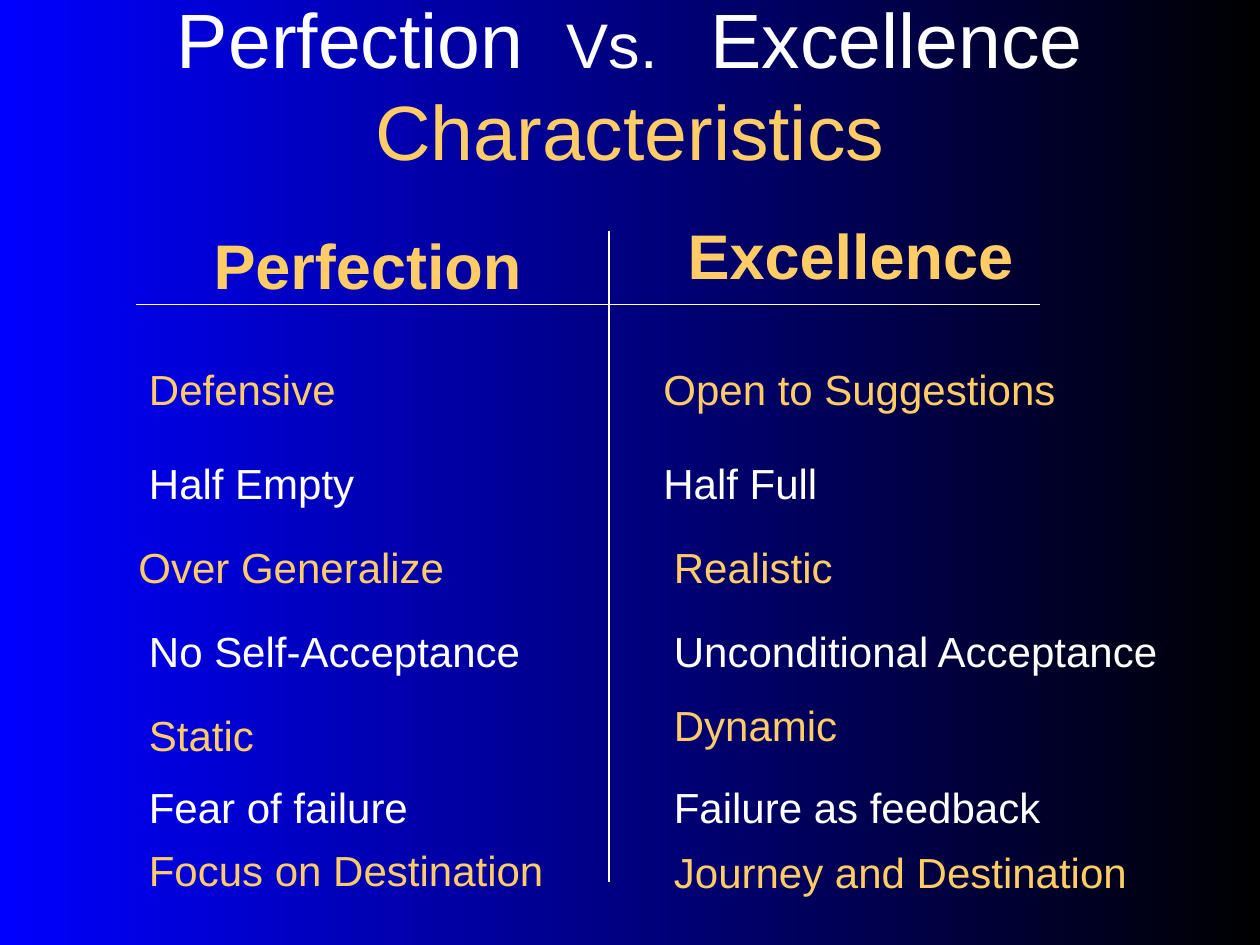
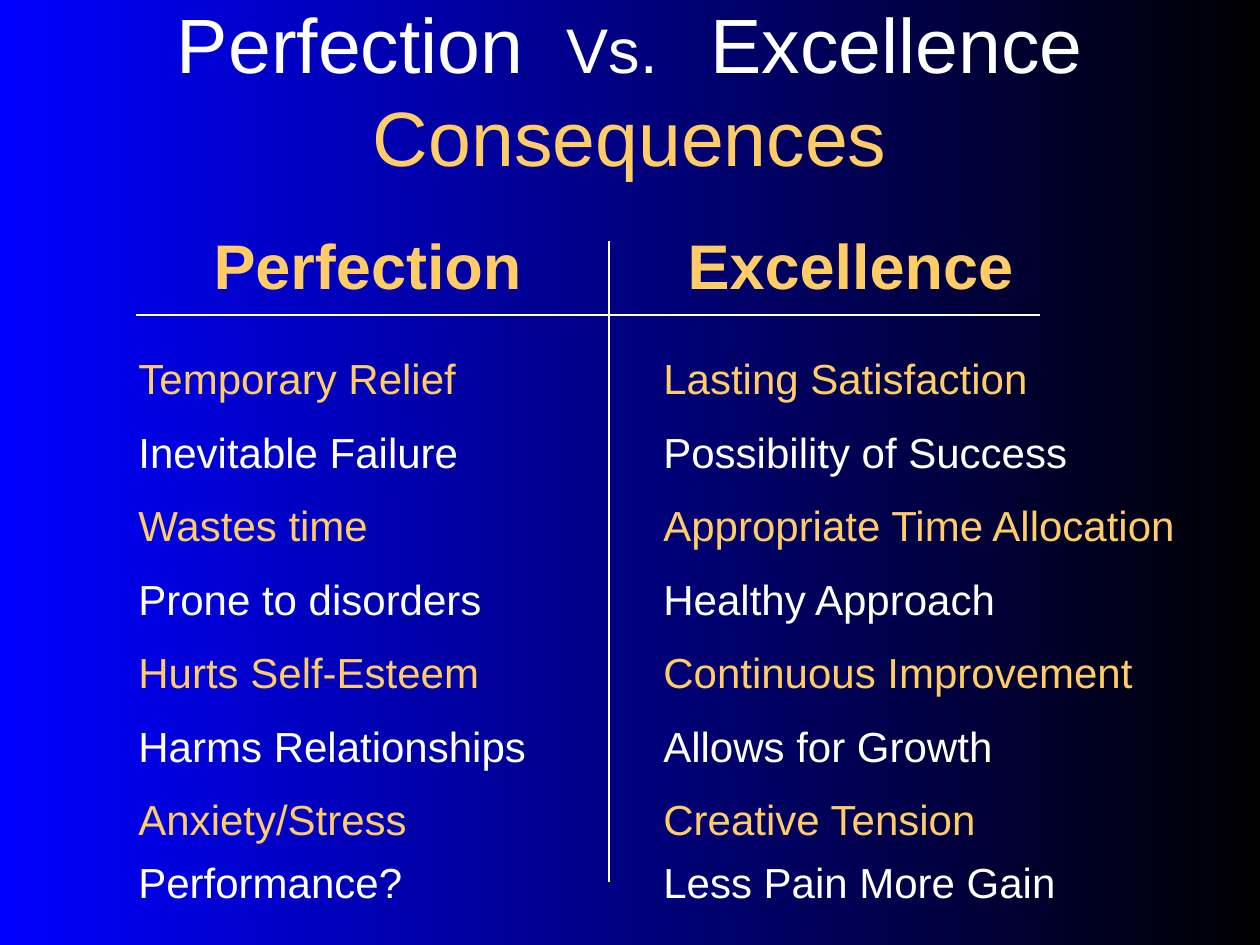
from lxml import etree
from pptx import Presentation
from pptx.dml.color import RGBColor
from pptx.enum.shapes import MSO_CONNECTOR
from pptx.enum.text import MSO_ANCHOR, MSO_AUTO_SIZE, PP_ALIGN
from pptx.oxml.ns import qn
from pptx.util import Emu, Pt

EMU_PER_PX = 7620  # 120 px to the inch
SLIDE_WIDTH, SLIDE_HEIGHT = 1200, 900
STRAIGHT = MSO_CONNECTOR.STRAIGHT
MIDDLE = MSO_ANCHOR.MIDDLE
NO_FIT, GROW = MSO_AUTO_SIZE.NONE, MSO_AUTO_SIZE.SHAPE_TO_FIT_TEXT
LEFT, CENTER = PP_ALIGN.LEFT, PP_ALIGN.CENTER
TITLE_ONLY = 5

COLORS = {"white": "FFFFFF", "gold": "FFCC66", "black": "000000", "blue": "0000FF"}
FONT = "Arial"
TITLE_SIZE, HEADING_SIZE, TRAIT_SIZE = 44, 36, 24
HEADING_HEIGHT, TRAIT_HEIGHT = 84, 60
DIVIDER_X, DIVIDER_BOTTOM = 580, 840
RULE_LEFT, RULE_RIGHT = 130, 990

# Text, size and extra letter spacing of each span, in points
TITLE_SPANS = [
    ("Perfection", 44, 0),
    (" ", 44, 12.2),
    ("Vs.", 36, 0),
    (" ", 36, 20),
    ("Excellence", 44, 0),
]

# Each trait: text, left, top, width
PERFECTION_TRAITS = [
    ("Defensive", 130, 340, 460),
    ("Half Empty", 130, 430, 460),
    ("Over Generalize", 120, 510, 460),
    ("No Self-Acceptance", 130, 590, 460),
    ("Static", 130, 670, 460),
    ("Fear of failure", 130, 738, 490),
    ("Focus on Destination", 130, 798, 490),
]
EXCELLENCE_TRAITS = [
    ("Open to Suggestions", 620, 340, 500),
    ("Half Full", 620, 430, 530),
    ("Realistic", 630, 510, 500),
    ("Unconditional Acceptance", 630, 590, 500),
    ("Dynamic", 630, 660, 540),
    ("Failure as feedback", 630, 738, 490),
    ("Journey and Destination", 630, 800, 460),
]
PERFECTION_RESULTS = [
    ("Temporary Relief", 460),
    ("Inevitable Failure", 460),
    ("Wastes time", 460),
    ("Prone to disorders", 460),
    ("Hurts Self-Esteem", 460),
    ("Harms Relationships", 460),
    ("Anxiety/Stress", 460),
    ("Performance?", 530),
]
EXCELLENCE_RESULTS = [
    ("Lasting Satisfaction", 500),
    ("Possibility of Success", 500),
    ("Appropriate Time Allocation", 540),
    ("Healthy Approach", 500),
    ("Continuous Improvement", 540),
    ("Allows for Growth", 530),
    ("Creative Tension", 540),
    ("Less Pain More Gain", 530),
]


def px(length):
    return Emu(length * EMU_PER_PX)


def rgb(color):
    return RGBColor.from_string(COLORS[color])


def evenly_spaced(results, left, first_top=330, step=70, last_top=810):
    """Place results at equal steps, with the last one pulled up a little."""
    return [
        (text, left, min(first_top + step * row, last_top), width)
        for row, (text, width) in enumerate(results)
    ]


class ComparisonDeck:
    def __init__(self):
        self.deck = Presentation()
        self.deck.slide_width = px(SLIDE_WIDTH)
        self.deck.slide_height = px(SLIDE_HEIGHT)
        self.page = None
        fill = self.deck.slide_master.background.fill
        fill.gradient()
        fill.gradient_angle = 180
        for stop, color in zip(fill.gradient_stops, ("black", "blue")):
            stop.color.rgb = rgb(color)

    def add_page(self):
        self.page = self.deck.slides.add_slide(self.deck.slide_layouts[TITLE_ONLY])

    def style(self, para, size, color, align=LEFT, bold=False):
        para.alignment = align
        font = para.font
        font.name, font.size, font.bold = FONT, Pt(size), bold
        font.color.rgb = rgb(color)

    def title(self, topic, height):
        box = self.page.shapes.title
        box.left, box.top = px(0), px(10)
        box.width, box.height = px(SLIDE_WIDTH), px(height)
        frame = box.text_frame
        frame.auto_size, frame.vertical_anchor = NO_FIT, MIDDLE
        para = frame.paragraphs[0]
        self.style(para, TITLE_SIZE, "white", CENTER)
        for text, size, spacing in TITLE_SPANS:
            span = para.add_run()
            span.text = text
            span.font.size = Pt(size)
            if spacing:
                span._r.get_or_add_rPr().set("spc", str(round(spacing * 100)))
        topic_para = frame.add_paragraph()
        topic_para.text = topic
        self.style(topic_para, TITLE_SIZE, "gold", CENTER)

    def text(self, words, left, top, width, height, size, color, **look):
        box = self.page.shapes.add_textbox(px(left), px(top), px(width), px(height))
        frame = box.text_frame
        frame.word_wrap, frame.auto_size = True, GROW
        para = frame.paragraphs[0]
        para.text = words
        self.style(para, size, color, **look)

    def heading(self, words, left, top):
        self.text(words, left, top, 400, HEADING_HEIGHT, HEADING_SIZE, "gold",
                  align=CENTER, bold=True)

    def traits(self, traits):
        """Write one column, its rows alternating gold and white."""
        for row, (words, left, top, width) in enumerate(traits):
            color = "white" if row % 2 else "gold"
            self.text(words, left, top, width, TRAIT_HEIGHT, TRAIT_SIZE, color)

    def line(self, x1, y1, x2, y2):
        line = self.page.shapes.add_connector(STRAIGHT, px(x1), px(y1), px(x2), px(y2))
        line.line.color.rgb = rgb("white")
        line.line.width = Pt(1)
        etree.SubElement(line._element.spPr, qn("a:effectLst"))

    def comparison(self, topic, title_height, columns, heading_tops, rule_y):
        self.add_page()
        self.title(topic, title_height)
        for column in columns:
            self.traits(column)
        self.line(DIVIDER_X, rule_y - 70, DIVIDER_X, DIVIDER_BOTTOM)
        self.line(RULE_LEFT, rule_y, RULE_RIGHT, rule_y)
        headings = (("Perfection", 150), ("Excellence", 610))
        for (words, left), top in zip(headings, heading_tops):
            self.heading(words, left, top)


def main():
    builder = ComparisonDeck()
    builder.comparison("Characteristics", 140, (PERFECTION_TRAITS, EXCELLENCE_TRAITS),
                       heading_tops=(210, 200), rule_y=290)
    results = (evenly_spaced(PERFECTION_RESULTS, 120),
               evenly_spaced(EXCELLENCE_RESULTS, 620))
    builder.comparison("Consequences", 150, results, heading_tops=(210, 210), rule_y=300)
    builder.deck.save("out.pptx")


if __name__ == "__main__":
    main()
